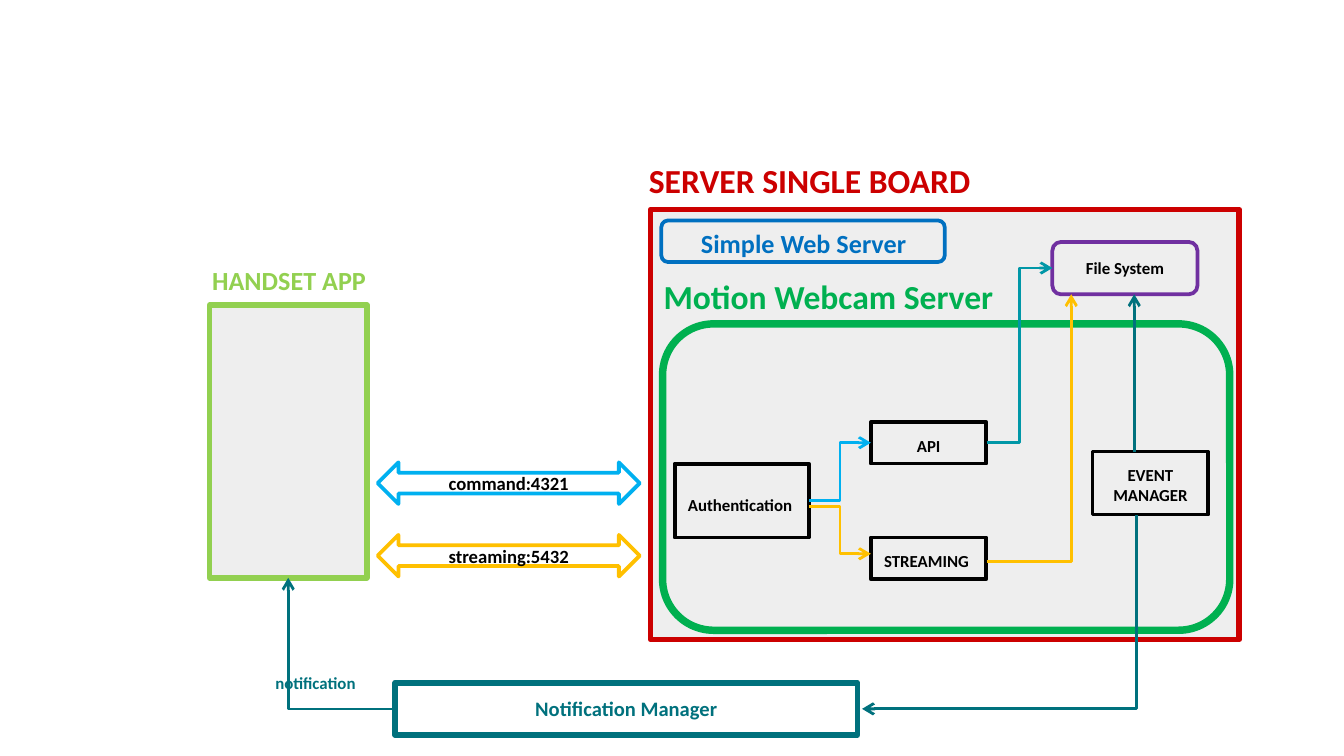
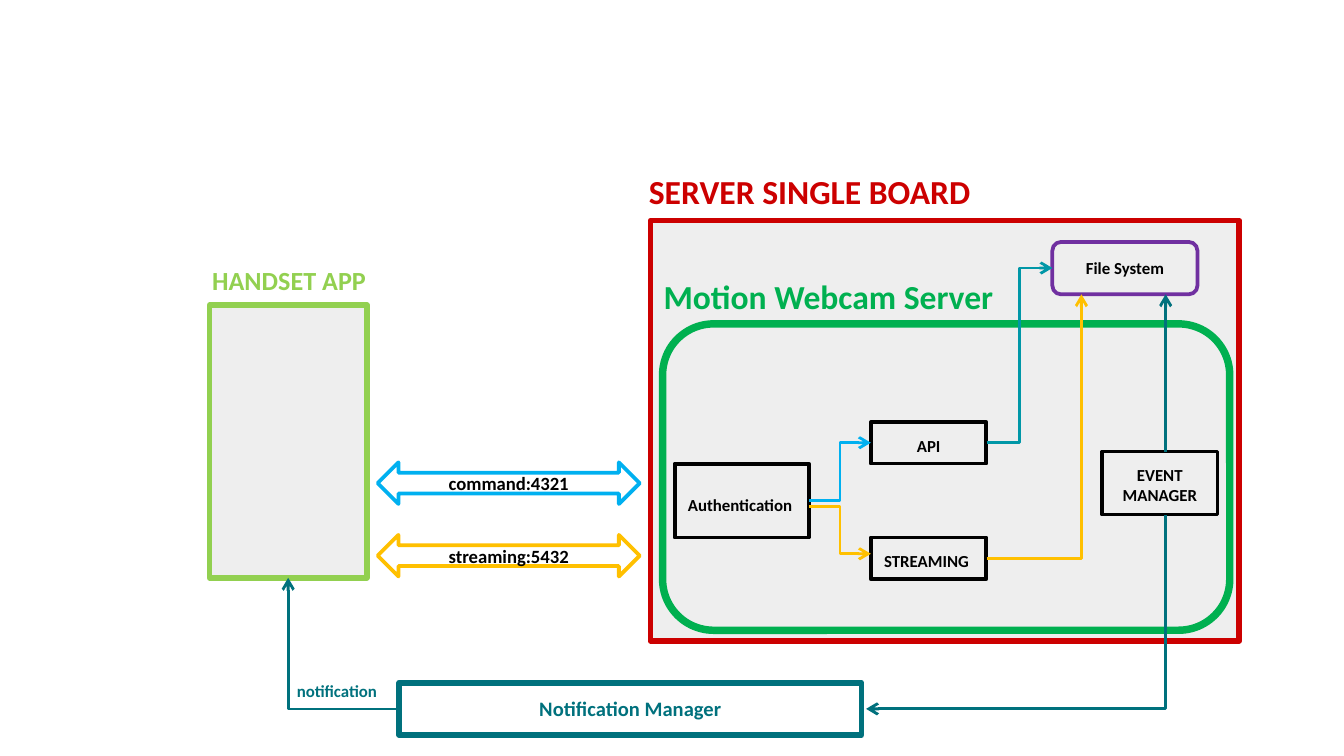
import lxml.etree
import pptx
import pptx.dml.color
import pptx.enum.shapes
import pptx.enum.text
import pptx.oxml.ns
import pptx.util

RGB = pptx.dml.color.RGBColor
KIND = pptx.enum.shapes.MSO_SHAPE
LINK = pptx.enum.shapes.MSO_CONNECTOR
ALIGN = pptx.enum.text.PP_ALIGN
ANCHOR = pptx.enum.text.MSO_ANCHOR

BLACK = RGB(0, 0, 0)
WHITE = RGB(255, 255, 255)
PANEL = RGB(0xEE, 0xEE, 0xEE)
LIME = RGB(0x92, 0xD0, 0x50)
RED = RGB(0xCC, 0, 0)
GREEN = RGB(0, 0xB0, 0x50)
DARK_TEAL = RGB(0, 0x71, 0x7D)
TEAL = RGB(0, 0x97, 0xA7)
PURPLE = RGB(0x70, 0x30, 0xA0)
SKY = RGB(0, 0xB0, 0xF0)
AMBER = RGB(0xFF, 0xC0, 0)
BLUE = RGB(0, 0x70, 0xC0)

FONT = "Calibri"
COLUMNS, ROWS = 100, 56.25  # square grid, ten cells to the inch
CELL = pptx.util.Inches(0.1)

# Grid places: left, top, width, height. Both slides share these.
PLACES = {
    "app": (15.6, 22.7, 11.7, 20.3),
    "motion": (49.3, 24.1, 42.2, 22.8),
    "files": (78.3, 18, 10.8, 3.9),
    "login": (50.2, 34.5, 10, 5.5),
    "api": (64.8, 31.4, 8.6, 3.1),
    "streaming": (64.8, 40, 8.6, 3.1),
    "command port": (28.1, 34.4, 19.5, 3.1),
    "streaming port": (28.1, 39.8, 19.5, 3.1),
    "app title": (14.8, 18.7, 16.7, 3.9),
    "motion title": (48, 19.5, 27.3, 4.7),
}

# What changes from slide to slide: places, and where links meet boxes.
SLIDES = [
    {
        "places": {
            "server": (48.4, 15.6, 43.8, 32),
            "server title": (47.3, 10.9, 31.3, 4.7),
            "notifier": (29.4, 50.8, 34.4, 3.9),
            "notification": (19.5, 49.4, 8.1, 2.8),
            "events": (81.3, 33.6, 8.6, 4.7),
            "web": (49.2, 16.4, 21.1, 3.1),
            "web title": (50.8, 16.4, 18, 3.4),
        },
        "stream exit": 0.58, "stream entry": 0.13,
        "event top": 0.36, "event bottom": 0.38,
    },
    {
        "places": {
            "server": (48.4, 16.4, 43.8, 31.3),
            "server title": (47.3, 11.7, 31.3, 4.7),
            "notifier": (29.7, 50.8, 34.4, 3.9),
            "notification": (21.1, 50, 8.1, 2.8),
            "events": (82, 33.6, 8.6, 4.7),
        },
        "stream exit": 0.5, "stream entry": 0.2,
        "event top": 0.55, "event bottom": 0.55,
    },
]

# Name, preset shape, fill, line colour, line width; back to front.
SHAPES = [
    ("app", KIND.RECTANGLE, PANEL, LIME, 3),
    ("server", KIND.RECTANGLE, PANEL, RED, 3),
    ("motion", KIND.ROUNDED_RECTANGLE, PANEL, GREEN, 4),
    ("notifier", KIND.RECTANGLE, None, DARK_TEAL, 3),
    ("files", KIND.ROUNDED_RECTANGLE, None, PURPLE, 2),
    ("login", KIND.RECTANGLE, None, BLACK, 2),
    ("api", KIND.RECTANGLE, None, BLACK, 2),
    ("streaming", KIND.RECTANGLE, None, BLACK, 2),
    ("command port", KIND.LEFT_RIGHT_ARROW, WHITE, SKY, 2),
    ("streaming port", KIND.LEFT_RIGHT_ARROW, WHITE, AMBER, 2),
    ("events", KIND.RECTANGLE, None, BLACK, 2),
    ("web", KIND.ROUNDED_RECTANGLE, PANEL, BLUE, 2),
]

# Name: lines, size, colour, alignment, anchor.
TEXTS = {
    "notifier": (["Notification Manager"], 11, DARK_TEAL, ALIGN.CENTER, ANCHOR.TOP),
    "files": (["File System"], 9, BLACK, ALIGN.CENTER, ANCHOR.MIDDLE),
    "login": (["Authentication"], 9, BLACK, ALIGN.LEFT, ANCHOR.MIDDLE),
    "api": (["API"], 9, BLACK, ALIGN.CENTER, ANCHOR.TOP),
    "streaming": (["STREAMING"], 9, BLACK, ALIGN.LEFT, ANCHOR.TOP),
    "command port": (["command:4321"], 10, BLACK, ALIGN.CENTER, ANCHOR.MIDDLE),
    "streaming port": (["streaming:5432"], 10, BLACK, ALIGN.CENTER, ANCHOR.MIDDLE),
    "events": (["EVENT", "MANAGER"], 9, BLACK, ALIGN.CENTER, ANCHOR.TOP),
    "app title": (["HANDSET APP"], 14, LIME, ALIGN.LEFT, ANCHOR.TOP),
    "server title": (["SERVER SINGLE BOARD"], 18, RED, ALIGN.LEFT, ANCHOR.TOP),
    "motion title": (["Motion Webcam Server"], 18, GREEN, ALIGN.CENTER, ANCHOR.TOP),
    "notification": (["notification"], 9, DARK_TEAL, ALIGN.LEFT, ANCHOR.MIDDLE),
    "web title": (["Simple Web Server"], 14, BLUE, ALIGN.CENTER, ANCHOR.TOP),
}
LABELS = ["app title", "server title", "motion title", "notification", "web title"]

# Insets in grid cells; all others are one cell on every side.
ALL_SIDES = dict.fromkeys(("margin_left", "margin_right", "margin_top", "margin_bottom"), 1)
FLAT = {**ALL_SIDES, "margin_top": 0.5, "margin_bottom": 0.5}
INSETS = {
    "login": {**ALL_SIDES, "margin_top": 1.6},
    "command port": FLAT,
    "streaming port": FLAT,
    "web title": FLAT,
}


def links(layout):
    """List the arrows: route, start, end (box, share across, share down), colour."""
    event_top = layout["event top"]
    return [
        ("step", ("login", 1, 0.5), ("api", 0, 0.5), SKY),
        ("step", ("login", 1, 0.58), ("streaming", 0, 0.39), AMBER),
        ("step", ("api", 1, 0.5), ("files", 0, 0.5), TEAL),
        ("drop", ("events", layout["event bottom"], 1), ("notifier", 1.01, 0.5), DARK_TEAL),
        ("corner", ("notifier", 0, 0.5), ("app", 0.5, 1), DARK_TEAL),
        ("straight", ("events", event_top, 0), ("files", 0, 1), DARK_TEAL),
        ("corner", ("streaming", 1, layout["stream exit"]),
         ("files", layout["stream entry"], 1), AMBER),
    ]


def cells(*values):
    """Turn grid lengths into slide lengths."""
    return [round(value * CELL) for value in values]


def assign(target, values):
    """Set each attribute of the target from a dict."""
    for name, value in values.items():
        setattr(target, name, value)


def write(shape, name):
    """Fill a shape or text box with its words."""
    lines, size, colour, alignment, anchor = TEXTS[name]
    frame = shape.text_frame
    insets = INSETS.get(name, ALL_SIDES)
    assign(frame, {"word_wrap": name != "web title", "vertical_anchor": anchor})
    assign(frame, {side: cells(length)[0] for side, length in insets.items()})
    for index, words in enumerate(lines):
        para = frame.add_paragraph() if index else frame.paragraphs[0]
        para.alignment = alignment
        span = para.add_run()
        span.text = words
        assign(span.font, {"name": FONT, "size": pptx.util.Pt(size), "bold": True})
        span.font.color.rgb = colour


def add_box(page, place, name, kind, fill, colour, width):
    """Draw one outlined shape, with its text if it has any."""
    box = page.shapes.add_shape(kind, *cells(*place))
    box.shadow.inherit = False
    if fill is None:
        box.fill.background()
    else:
        box.fill.solid()
        box.fill.fore_color.rgb = fill
    box.line.color.rgb = colour
    box.line.width = pptx.util.Pt(width)
    if name in TEXTS:
        write(box, name)


def point(places, spot):
    """Find a point on a box from its shares across and down."""
    name, across, down = spot
    left, top, width, height = places[name]
    return left + across * width, top + down * height


def add_link(page, places, route, start, end, colour):
    """Draw one arrow along a step, corner, drop or straight route."""
    begin, finish = point(places, start), point(places, end)
    if route == "straight":
        finish = begin[0], finish[1]
    kind = LINK.STRAIGHT if route == "straight" else LINK.ELBOW
    link = page.shapes.add_connector(kind, *cells(*begin, *finish))
    link.line.color.rgb = colour
    link.line.width = pptx.util.Pt(1.5)
    qualified = pptx.oxml.ns.qn
    properties = link._element.spPr
    tip = lxml.etree.SubElement(link.line._get_or_add_ln(), qualified("a:tailEnd"))
    tip.set("type", "arrow")
    lxml.etree.SubElement(properties, qualified("a:effectLst"))
    if route in ("corner", "drop"):
        properties.find(qualified("a:prstGeom")).set("prst", "bentConnector2")
    if route == "drop":
        # A quarter turn makes the arrow go down first, then left.
        width, height = link.width, link.height
        assign(link, {
            "left": link.left + (width - height) // 2,
            "top": link.top + (height - width) // 2,
            "width": height, "height": width,
        })
        turn = properties.find(qualified("a:xfrm"))
        turn.attrib.pop("flipH", None)
        turn.set("rot", str(90 * 60000))


def build_slide(deck, layout):
    """Build one architecture diagram."""
    page = deck.slides.add_slide(deck.slide_layouts[6])
    places = {**PLACES, **layout["places"]}
    for name, *style in SHAPES:
        if name in places:
            add_box(page, places[name], name, *style)
    for name in LABELS:
        if name in places:
            write(page.shapes.add_textbox(*cells(*places[name])), name)
    for link in links(layout):
        add_link(page, places, *link)


deck = pptx.Presentation()
deck.slide_width, deck.slide_height = cells(COLUMNS, ROWS)
for layout in SLIDES:
    build_slide(deck, layout)
deck.save("out.pptx")
